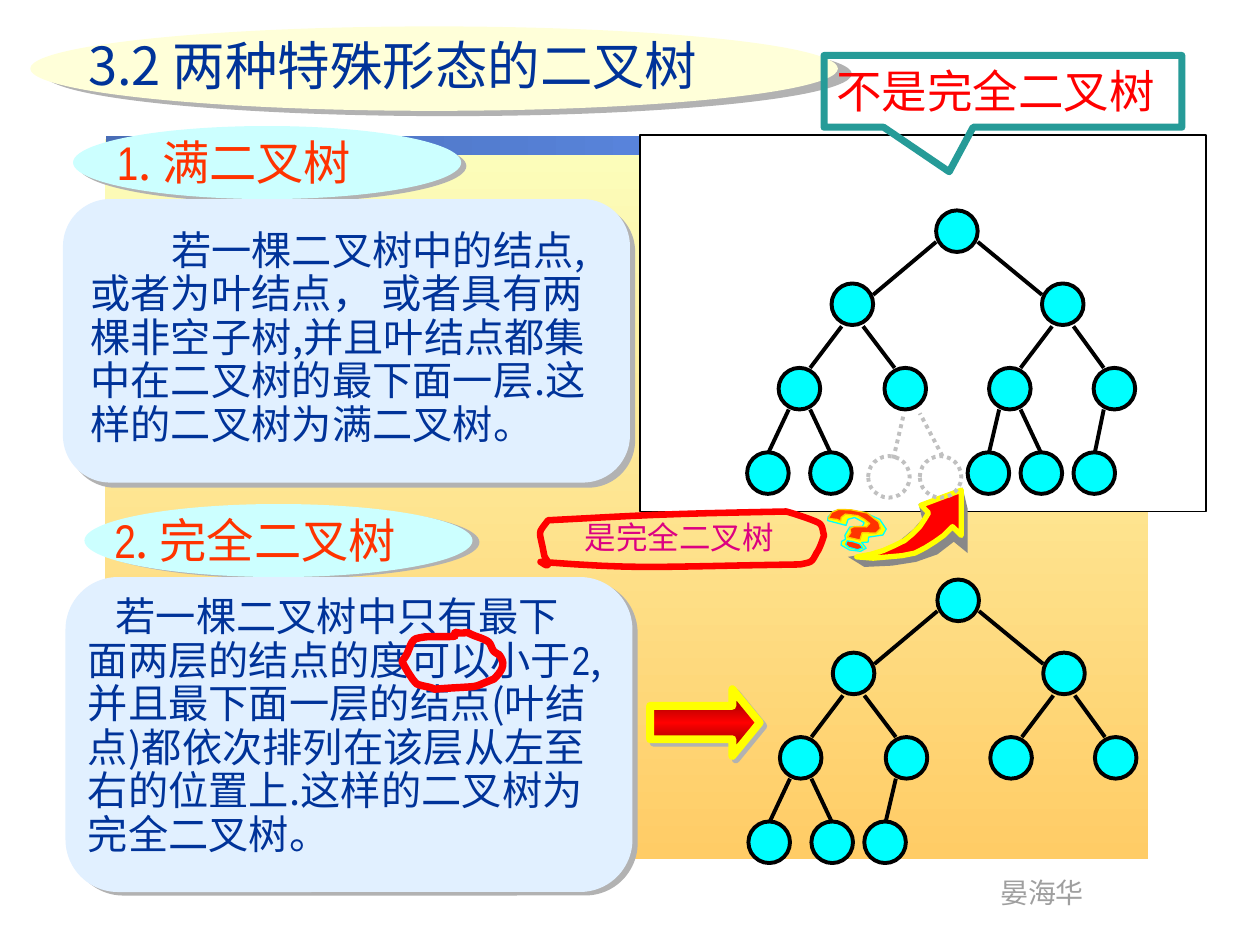
from dataclasses import dataclass
from lxml.etree import SubElement
from pptx import Presentation
from pptx.dml.color import RGBColor
from pptx.enum.dml import MSO_LINE
from pptx.enum.shapes import MSO_CONNECTOR, MSO_SHAPE as Preset
from pptx.enum.text import PP_ALIGN as Align
from pptx.oxml.ns import qn
from pptx.util import Inches, Pt


@dataclass(frozen=True)
class Theme:
    cjk: str = "Noto Sans CJK SC"
    narrow: str = "Arial Narrow"
    navy: str = "003399"
    red: str = "FF0000"
    orange: str = "FF3300"
    yellow: str = "FFFF00"
    cyan: str = "00FFFF"
    black: str = "000000"
    white: str = "FFFFFF"
    shade: str = "B2B2B2"
    ghost: str = "C0C0C0"
    panel: str = "E1F0FF"
    badge: str = "CCFFFF"
    cream: str = "FFFFD9"
    teal: str = "269B98"
    magenta: str = "DC0081"
    footer: str = "9F9F9F"
    arrow_shade: str = "888888"
    gold: str = "FFCC00"
    title_size: float = 30
    heading_size: float = 27
    callout_size: float = 26
    body_size: float = 23
    label_size: float = 18
    footer_size: float = 16


def add_shadow(effects, color, distance, angle):
    outer = SubElement(effects, qn("a:outerShdw"), blurRad="0", algn="ctr", rotWithShape="0",
                       dist=str(Pt(distance)), dir=str(angle * 60000))
    SubElement(outer, qn("a:srgbClr"), val=color)


class Canvas:
    NODE = 0.33

    def __init__(self, slide, theme):
        self.shapes = slide.shapes
        self.theme = theme

    def outline(self, line, color, width, dotted=False):
        line.color.rgb = RGBColor.from_string(color)
        line.width = Pt(width)
        if dotted:
            line.dash_style = MSO_LINE.ROUND_DOT

    def paint(self, shape, fill=None, line=None, shadow=None, angle=0):
        """fill: colour or list of gradient colours; line: outline() values; shadow: (points, degrees)."""
        if isinstance(fill, list):
            shape.fill.gradient()
            shape.fill.gradient_angle = -angle % 360
            stops = shape.fill._xPr.find(qn("a:gradFill")).find(qn("a:gsLst"))
            stops.clear()
            for i, color in enumerate(fill):
                stop = SubElement(stops, qn("a:gs"), pos=str(100000 * i // (len(fill) - 1)))
                SubElement(stop, qn("a:srgbClr"), val=color)
        elif fill:
            shape.fill.solid()
            shape.fill.fore_color.rgb = RGBColor.from_string(fill)
        else:
            shape.fill.background()
        if line:
            self.outline(shape.line, *line)
        else:
            shape.line.fill.background()
        shape.shadow.inherit = False
        if shadow:
            add_shadow(shape._element.spPr.find(qn("a:effectLst")), self.theme.shade, *shadow)

    def preset(self, kind, box, adjust=(), **look):
        shape = self.shapes.add_shape(kind, *map(Inches, box))
        for i, value in enumerate(adjust):
            shape.adjustments[i] = value
        self.paint(shape, **look)

    def polygon(self, points, rotation=0, **look):
        start, *rest = [(Inches(x), Inches(y)) for x, y in points]
        builder = self.shapes.build_freeform(*start)
        builder.add_line_segments(rest, close=True)
        shape = builder.convert_to_shape()
        shape.rotation = rotation
        self.paint(shape, **look)

    def scribble(self, points, width, steps=8):
        """Pen stroke through cubic curves: a start point, then three points a curve."""
        stroke = [points[0]]
        for i in range(0, len(points) - 1, 3):
            curve = points[i:i + 4]
            for step in range(1, steps + 1):
                t = step / steps
                weights = ((1 - t) ** 3, 3 * t * (1 - t) ** 2, 3 * t * t * (1 - t), t ** 3)
                stroke.append(tuple(sum(w * p[axis] for w, p in zip(weights, curve)) for axis in (0, 1)))
        self.polygon(stroke, line=(self.theme.red, width))

    def line(self, start, end, *style):
        link = self.shapes.add_connector(MSO_CONNECTOR.STRAIGHT, *map(Inches, (*start, *end)))
        self.outline(link.line, *style)
        SubElement(link._element.spPr, qn("a:effectLst"))

    def text(self, box, paragraphs, size, color, wrap=True, align=None, spacing=None, indent=0, shadow=False):
        """Each paragraph is a list of (text, font) runs; indent is for the first one."""
        frame = self.shapes.add_textbox(*map(Inches, box)).text_frame
        frame.word_wrap = wrap
        for i, runs in enumerate(paragraphs):
            paragraph = frame.add_paragraph() if i else frame.paragraphs[0]
            paragraph.alignment = align
            paragraph.line_spacing = spacing
            if indent and not i:
                paragraph._p.get_or_add_pPr().set("indent", str(Inches(indent)))
            for words, font in runs:
                run = paragraph.add_run()
                run.text = words
                run.font.size = Pt(size)
                run.font.color.rgb = RGBColor.from_string(color)
                run.font.name = font
                props = run._r.get_or_add_rPr()
                if shadow:
                    effects = SubElement(props, qn("a:effectLst"))
                    props.find(qn("a:solidFill")).addnext(effects)
                    add_shadow(effects, self.theme.black, 1, 45)
                east = SubElement(props, qn("a:ea"), typeface=self.theme.cjk)
                props.find(qn("a:latin")).addnext(east)

    def node(self, x, y, fill, *style):
        self.preset(Preset.OVAL, (x, y, self.NODE, self.NODE), fill=fill, line=style)

    def tree(self, root_x, root_y, leaves):
        """Nodes are numbered level by level from 1; leaves maps last-level numbers to x offsets."""
        offsets = {1: 0, 2: -0.83, 3: 0.84, 4: -1.25, 5: -0.41, 6: 0.42, 7: 1.25, **leaves}
        level_tops = (0, 0.58, 1.25, 1.92)
        # Line ends for a left child, measured from the parent and the child
        joints = {1: ((0, 0.25), (0.33, 0.09)), 2: ((0.08, 0.34), (0.25, 0)), 3: ((0.08, 0.33), (0.17, 0))}
        place = {n: (root_x + dx, root_y + level_tops[n.bit_length() - 1]) for n, dx in offsets.items()}
        for x, y in place.values():
            self.node(x, y, self.theme.cyan, self.theme.black, 2.25)
        for child in list(place)[1:]:
            ends = []
            for number, (dx, dy) in zip((child // 2, child), joints[child.bit_length() - 1]):
                x, y = place[number]
                ends.append((x + (self.NODE - dx if child % 2 else dx), y + dy))
            self.line(*ends, self.theme.black, 2.25)


def main():
    deck = Presentation()
    deck.slide_width, deck.slide_height = Inches(10), Inches(7.5)
    theme = Theme()
    canvas = Canvas(deck.slides.add_slide(deck.slide_layouts[6]), theme)
    cjk, narrow = theme.cjk, theme.narrow

    canvas.preset(Preset.RECTANGLE, (0.83, 1.1, 8.28, 5.72), fill=["FCFEBC", "FFCC66"], angle=90)
    canvas.preset(Preset.RECTANGLE, (0.84, 1.08, 8.27, 0.15), fill=["496DB6", "6699FF"])
    canvas.text((7.84, 6.9, 0.87, 0.37), [[("晏海华", narrow)]], theme.footer_size, theme.footer, wrap=False)
    canvas.preset(Preset.OVAL, (0.24, 0.21, 6.41, 0.67), fill=theme.cream, shadow=(8.5, 21))
    canvas.text((0.6, 0.21, 6.51, 0.6), [[("3.2 两种特殊形态的二叉树", cjk)]], theme.title_size, theme.navy)

    for number, heading, left, top, text_left, shadow in (
            ("1", ". 满二叉树", 0.58, 1, 0.83, (3.6, 34)),
            ("2", ". 完全二叉树", 0.67, 4, 0.81, (4.1, 14))):
        canvas.preset(Preset.OVAL, (left, top, 3.08, 0.58), fill=theme.badge, shadow=shadow)
        canvas.text((text_left, top + 0.01, 3.32, 0.55), [[(number, narrow), (heading, cjk)]],
                    theme.heading_size, theme.orange, shadow=True)

    full_tree = ("若一棵二叉树中的结点,", "或者为叶结点， 或者具有两", "棵非空子树,并且叶结点都集",
                 "中在二叉树的最下面一层.这", "样的二叉树为满二叉树。")
    complete_tree = ("若一棵二叉树中只有最下", "面两层的结点的度可以小于", "并且最下面一层的结点(叶结",
                     "点)都依次排列在该层从左至", "右的位置上.这样的二叉树为", "完全二叉树。")
    for panel, shadow, box, lines, indent in (
            ((0.5, 1.58, 4.5, 2.25), (4.2, 45), (0.62, 1.78, 4.6, 1.83), full_tree, 0.64),
            ((0.52, 4.58, 4.5, 2.5), (3.6, 34), (0.6, 4.69, 4.64, 2.17), complete_tree, 0.22)):
        canvas.preset(Preset.ROUNDED_RECTANGLE, panel, fill=theme.panel, shadow=shadow)
        paragraphs = [[(line, cjk)] for line in lines]
        if lines is complete_tree:
            paragraphs[1] += [("2", narrow), (",", cjk)]
        canvas.text(box, paragraphs, theme.body_size, theme.navy, spacing=0.9, indent=indent)
    canvas.scribble([
        (3.61, 5.05), (3.5, 5.06), (3.4, 5.04), (3.3, 5.07), (3.26, 5.09), (3.25, 5.15), (3.23, 5.19),
        (3.22, 5.21), (3.19, 5.25), (3.19, 5.25), (3.2, 5.27), (3.27, 5.4), (3.31, 5.43),
        (3.36, 5.45), (3.41, 5.45), (3.45, 5.47), (3.87, 5.44), (3.71, 5.47), (3.92, 5.39),
        (3.97, 5.34), (4.02, 5.28), (3.97, 5.21), (3.96, 5.19), (3.94, 5.19), (3.92, 5.17),
        (3.9, 5.15), (3.9, 5.11), (3.87, 5.09), (3.82, 5.06), (3.76, 5.05), (3.71, 5.02),
        (3.6, 5.04), (3.61, 4.99), (3.61, 5.05)], 4.25)

    canvas.tree(7.44, 4.6, {8: -1.5, 9: -1, 10: -0.58})
    canvas.preset(Preset.RIGHT_ARROW, (5.16, 5.47, 0.87, 0.53), (0.5, 0.41), angle=90,
                  fill=["760000", theme.red, "760000"], line=(theme.yellow, 4.5), shadow=(2.8, 45))
    canvas.preset(Preset.RECTANGLE, (5.08, 1.07, 4.49, 2.99), fill=theme.white, line=(theme.black, 1))
    canvas.tree(7.43, 1.67, {8: -1.5, 9: -1, 12: 0.25, 13: 0.67, 14: 1.09})

    canvas.polygon([
        (7.57, 4.3), (7.44, 4.4), (7.27, 4.46), (7.08, 4.49), (6.86, 4.5), (6.73, 4.42), (6.85, 4.4),
        (6.99, 4.36), (7.13, 4.3), (7.25, 4.2), (7.32, 4.12), (7.29, 4), (7.64, 3.87), (7.68, 4.04),
        (7.68, 4.39)], fill=theme.arrow_shade)
    canvas.polygon([
        (7.56, 4.18), (7.49, 4.25), (7.42, 4.3), (7.34, 4.35), (7.26, 4.39), (7.16, 4.41), (7.05, 4.42),
        (6.93, 4.43), (6.8, 4.42), (6.91, 4.4), (7.01, 4.37), (7.1, 4.33), (7.18, 4.29), (7.24, 4.24),
        (7.3, 4.18), (7.34, 4.12), (7.37, 4.07), (7.31, 4.01), (7.63, 3.89), (7.63, 4.25)],
        fill=theme.red, line=(theme.yellow, 3))
    canvas.text((4.29, 4.06, 2.2, 0.5), [[("是完全二叉树", narrow)]], theme.label_size, theme.magenta,
                wrap=False, align=Align.CENTER)
    canvas.scribble([
        (4.29, 4.46), (5.11, 4.52), (5.08, 4.5), (6.35, 4.48), (6.44, 4.46), (6.44, 4.47), (6.48, 4.39),
        (6.51, 4.35), (6.54, 4.25), (6.54, 4.25), (6.53, 4.22), (6.53, 4.18), (6.51, 4.16),
        (6.5, 4.14), (6.28, 4.07), (6.24, 4.06), (5.22, 4.08), (5.1, 4.09), (4.35, 4.13),
        (4.26, 4.25), (4.28, 4.19), (4.32, 4.41), (4.33, 4.44), (4.36, 4.46), (4.35, 4.48),
        (4.34, 4.5), (4.31, 4.47), (4.29, 4.46)], 3.75)

    question_back = [
        (6.72, 4.13), (6.77, 4.11), (6.85, 4.14), (6.84, 4.17), (6.74, 4.19), (6.71, 4.26), (6.72, 4.29),
        (6.69, 4.31), (6.69, 4.34), (6.76, 4.37), (6.85, 4.37), (6.89, 4.34), (6.85, 4.3), (6.9, 4.29),
        (6.9, 4.25), (7.01, 4.22), (7.03, 4.17), (6.97, 4.1), (6.84, 4.06), (6.69, 4.06), (6.6, 4.08),
        (6.56, 4.13), (6.56, 4.16), (6.71, 4.18)]
    question_hook = [
        (6.57, 4.14), (6.64, 4.14), (6.67, 4.15), (6.67, 4.12), (6.7, 4.09), (6.8, 4.09), (6.85, 4.11),
        (6.9, 4.14), (6.88, 4.17), (6.78, 4.18), (6.75, 4.2), (6.76, 4.23), (6.74, 4.27), (6.84, 4.28),
        (6.85, 4.22), (6.96, 4.21), (6.99, 4.17), (6.97, 4.12), (6.87, 4.06), (6.74, 4.05), (6.64, 4.06),
        (6.59, 4.09)]
    question_dot = [(6.76, 4.3), (6.72, 4.3), (6.71, 4.33), (6.74, 4.35), (6.81, 4.36), (6.85, 4.34), (6.82, 4.31)]
    for part, fill, edge in ((question_back, theme.yellow, theme.cyan), (question_hook, theme.orange, theme.gold),
                             (question_dot, theme.orange, theme.cyan)):
        canvas.polygon(part, rotation=7, fill=fill, line=(edge, 0.75))

    canvas.text((6.54, 0.45, 3.5, 0.53), [[("不是完全二叉树", cjk)]], theme.callout_size, theme.red, shadow=True)
    canvas.preset(Preset.RECTANGULAR_CALLOUT, (6.54, 0.44, 2.84, 0.57), (-0.15, 1.12), line=(theme.teal, 4))

    missing = (theme.ghost, 2.25, True)
    for left, start, end in ((7.3, (7.48, 3.62), (7.3, 3.28)), (6.89, (7.09, 3.64), (7.17, 3.3))):
        canvas.node(left, 3.62, None, *missing)
        canvas.line(start, end, *missing)
    deck.save("out.pptx")


if __name__ == "__main__":
    main()
